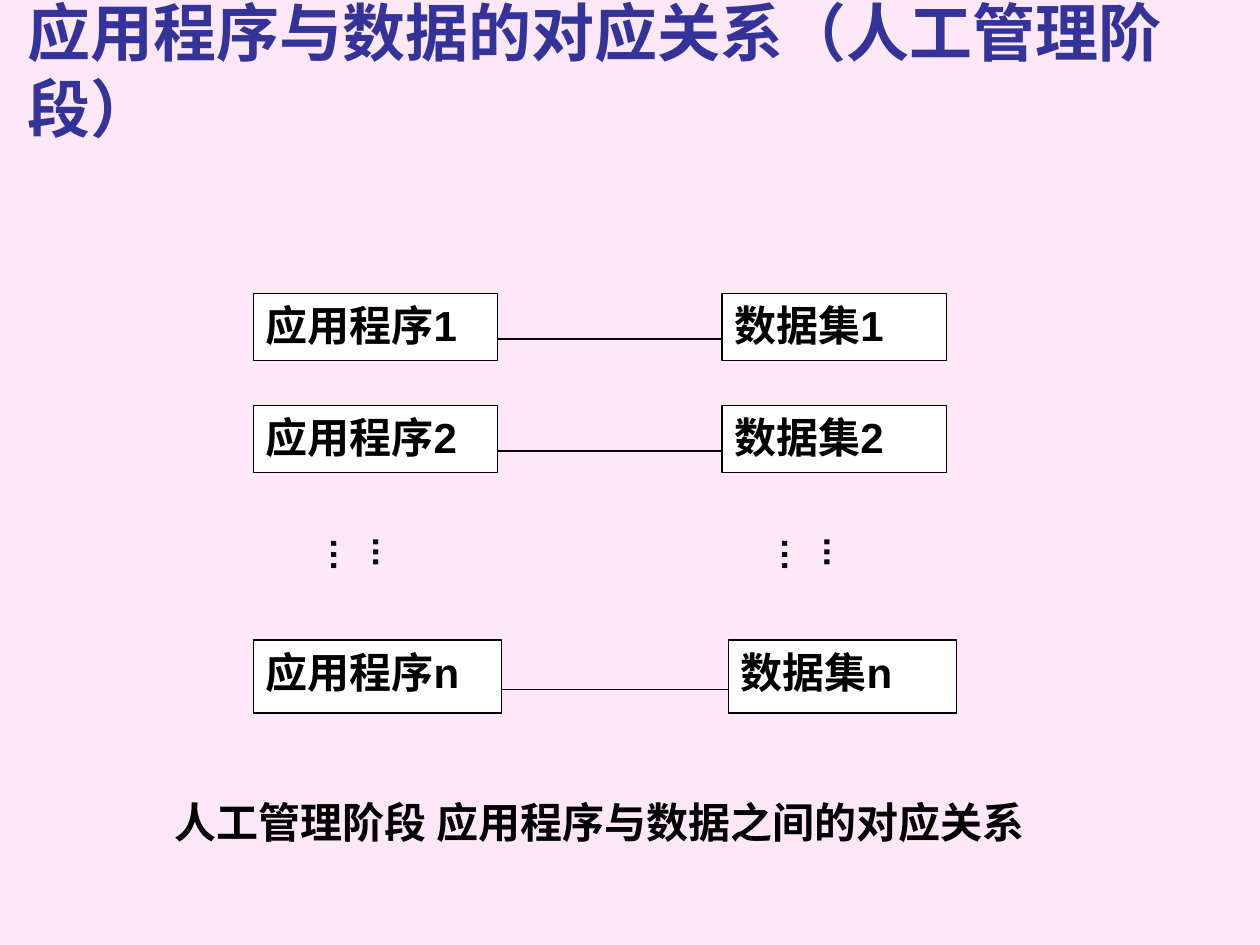
"""Build a slide that pairs each application program with its own data set."""
from dataclasses import dataclass

from lxml.etree import SubElement
from pptx import Presentation
from pptx.dml.color import RGBColor as Rgb
from pptx.enum.shapes import MSO_CONNECTOR as Connector, MSO_SHAPE as Shape
from pptx.enum.text import MSO_ANCHOR as Anchor, PP_ALIGN as Align
from pptx.oxml.ns import qn
from pptx.util import Inches, Pt


@dataclass(frozen=True)
class Theme:
    background: Rgb = Rgb(0xFE, 0xE8, 0xF7)
    title: Rgb = Rgb(0x33, 0x33, 0x99)
    ink: Rgb = Rgb(0, 0, 0)
    box: Rgb = Rgb(0xFF, 0xFF, 0xFF)
    title_font: str = "Karla"
    body_font: str = "Arial"
    title_size: int = 36
    body_size: int = 24
    dots_size: int = 20
    line_width: float = 0.75


THEME = Theme()


def write(frame, words, size=THEME.body_size, color=THEME.ink, font=THEME.body_font):
    frame.word_wrap = True
    frame.text = words
    paragraph = frame.paragraphs[0]
    paragraph.alignment = Align.LEFT
    style = paragraph.runs[0].font
    style.name, style.size, style.bold = font, Pt(size), True
    style.color.rgb = color


def add_label(slide, words, left, top, width, height, **style):
    label = slide.shapes.add_textbox(*map(Inches, (left, top, width, height)))
    write(label.text_frame, words, **style)
    return label.text_frame


def add_node(slide, words, left, top, width, height):
    node = slide.shapes.add_shape(Shape.RECTANGLE, *map(Inches, (left, top, width, height)))
    node.shadow.inherit = False
    node.fill.solid()
    node.fill.fore_color.rgb = THEME.box
    node.line.color.rgb = THEME.ink
    node.line.width = Pt(THEME.line_width)
    node.text_frame.vertical_anchor = Anchor.TOP
    write(node.text_frame, words)


def add_link(slide, start, end, y):
    link = slide.shapes.add_connector(Connector.STRAIGHT, *map(Inches, (start, y, end, y)))
    link.line.color.rgb = THEME.ink
    link.line.width = Pt(THEME.line_width)
    SubElement(link.element.spPr, qn("a:effectLst"))


def add_pair(slide, suffix, top, height, program_width, data_left, data_width, link_drop):
    program_left = 2.01
    add_node(slide, f"应用程序{suffix}", program_left, top, program_width, height)
    add_node(slide, f"数据集{suffix}", data_left, top, data_width, height)
    add_link(slide, program_left + program_width, data_left, top + link_drop)


def add_dots(slide, left):
    dots = add_label(slide, "...…", left, 4.17, 0.53, 0.67, size=THEME.dots_size)
    dots.margin_left = dots.margin_right = Inches(0.05)
    dots.margin_top = dots.margin_bottom = Inches(0.1)
    dots._txBody.bodyPr.set("vert", "eaVert")


def main():
    deck = Presentation()
    deck.slide_width, deck.slide_height = Inches(10), Inches(7.5)
    slide = deck.slides.add_slide(deck.slide_layouts[6])
    slide.background.fill.solid()
    slide.background.fill.fore_color.rgb = THEME.background

    title = add_label(slide, "应用程序与数据的对应关系（人工管理阶段）", 0.12, -0.04, 10, 1.24,
                      size=THEME.title_size, color=THEME.title, font=THEME.title_font)
    title.vertical_anchor = Anchor.BOTTOM

    for suffix, top in (("1", 2.33), ("2", 3.22)):
        add_pair(slide, suffix, top, 0.53, 1.94, 5.73, 1.78, 0.36)
    add_pair(slide, "n", 5.08, 0.58, 1.97, 5.78, 1.81, 0.39)
    for left in (2.76, 6.34):
        add_dots(slide, left)

    add_label(slide, "人工管理阶段 应用程序与数据之间的对应关系", 1.29, 6.27, 7.77, 0.5)
    deck.save("out.pptx")


if __name__ == "__main__":
    main()
